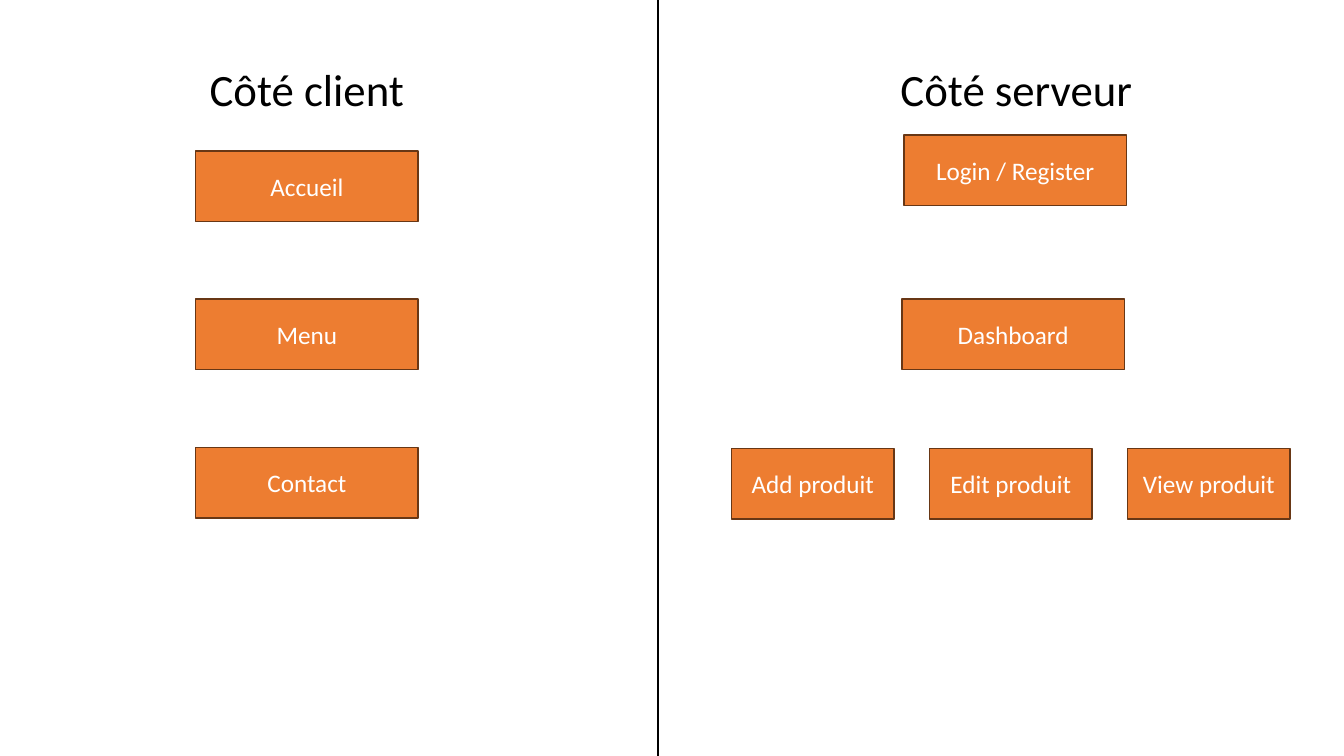
from lxml.etree import SubElement
from pptx import Presentation
from pptx.dml.color import RGBColor
from pptx.enum.shapes import MSO_CONNECTOR, MSO_SHAPE
from pptx.enum.text import MSO_ANCHOR, PP_ALIGN
from pptx.oxml.ns import qn
from pptx.util import Cm, Pt

COLORS = {
    "ink": "000000",
    "page": "FFFFFF",
    "box": "ED7D31",
    "border": "683715",
}


def color(name):
    return RGBColor.from_string(COLORS[name])


def write(shape, text, size=18, ink="page", anchor=MSO_ANCHOR.MIDDLE):
    frame = shape.text_frame
    frame.word_wrap = True
    frame.vertical_anchor = anchor
    paragraph = frame.paragraphs[0]
    paragraph.alignment = PP_ALIGN.CENTER
    run = paragraph.add_run()
    run.text = text
    run.font.name = "Calibri"
    run.font.size = Pt(size)
    run.font.color.rgb = color(ink)


deck = Presentation()
deck.slide_width = Cm(33.87)
deck.slide_height = Cm(19.05)
slide = deck.slides.add_slide(deck.slide_layouts[6])

# Divider between client and server
divider = slide.shapes.add_connector(
    MSO_CONNECTOR.STRAIGHT, Cm(16.59), 0, Cm(16.59), deck.slide_height)
divider.line.color.rgb = color("ink")
divider.line.width = Pt(1.5)
SubElement(divider._element.spPr, qn("a:effectLst"))

# Headings
for heading, left in [("Côté client", 3.43), ("Côté serveur", 21.31)]:
    heading_box = slide.shapes.add_textbox(Cm(left), Cm(1.42), Cm(8.61), Cm(1.63))
    write(heading_box, heading, size=32, ink="ink", anchor=MSO_ANCHOR.TOP)

# Pages: text, left, top, width
WIDE, NARROW = 5.61, 4.09
pages = [(page, 4.93, 3.81 + 3.73 * row, WIDE)
         for row, page in enumerate(["Accueil", "Menu", "Contact"])]
pages += [("Login / Register", 22.78, 3.4, WIDE),
          ("Dashboard", 22.73, 7.54, WIDE)]
pages += [(f"{action} produit", 18.44 + 4.99 * column, 11.3, NARROW)
          for column, action in enumerate(["Add", "Edit", "View"])]

for page, left, top, width in pages:
    page_box = slide.shapes.add_shape(
        MSO_SHAPE.RECTANGLE, Cm(left), Cm(top), Cm(width), Cm(1.78))
    page_box.shadow.inherit = False
    page_box.fill.solid()
    page_box.fill.fore_color.rgb = color("box")
    page_box.line.color.rgb = color("border")
    page_box.line.width = Pt(1)
    write(page_box, page)

deck.save("out.pptx")
